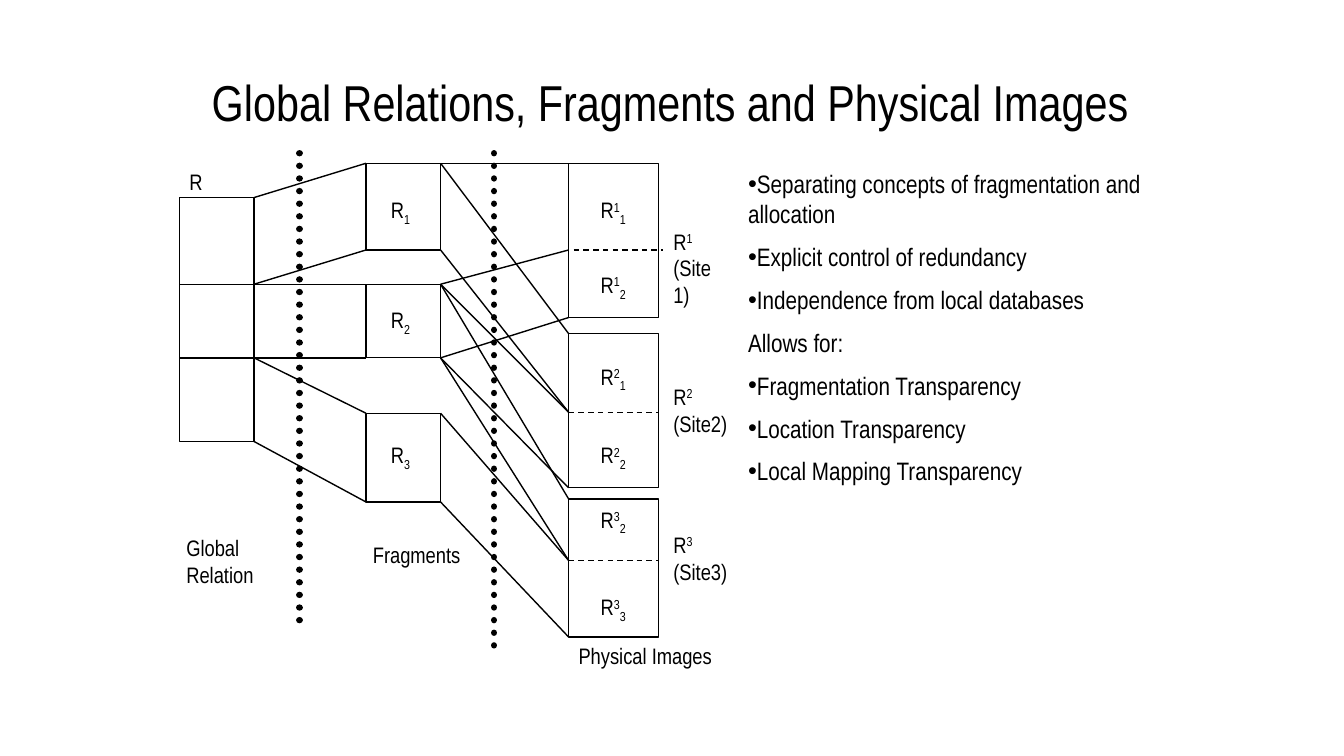
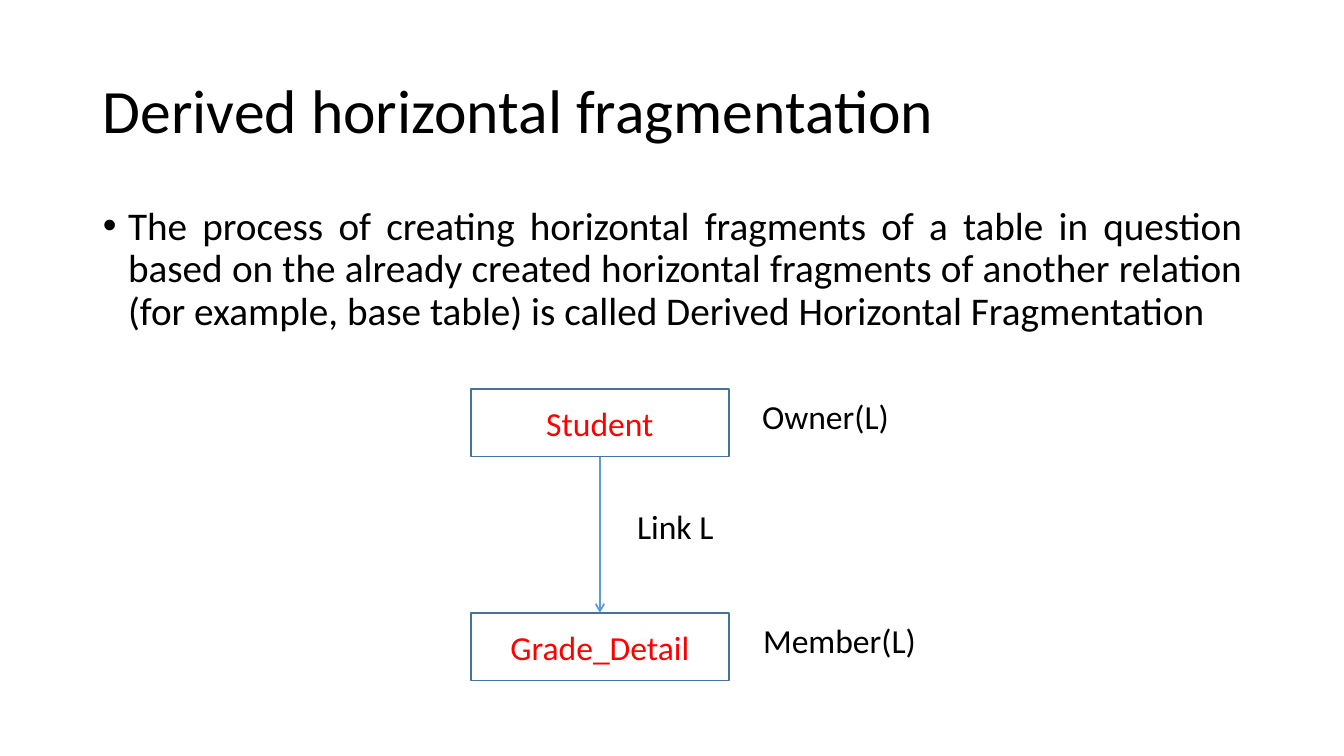
"""Build two slides on relation fragments and derived horizontal fragmentation."""
from dataclasses import dataclass

from lxml.etree import SubElement
from pptx import Presentation
from pptx.dml.color import RGBColor
from pptx.enum.dml import MSO_LINE as Dash
from pptx.enum.shapes import MSO_CONNECTOR as Connector, MSO_SHAPE as Shape
from pptx.enum.text import MSO_ANCHOR as Anchor, MSO_AUTO_SIZE as AutoSize, PP_ALIGN as Align
from pptx.oxml.ns import qn
from pptx.util import Inches, Pt


@dataclass(frozen=True)
class Theme:
    """Hold the colours, fonts and type sizes."""
    black: str = "000000"
    red: str = "FF0000"
    box_blue: str = "43739E"
    arrow_blue: str = "5B9BD5"
    narrow: str = "Arial Narrow"
    sans: str = "Calibri"
    label: int = 16
    points: int = 18
    node: int = 24
    body: int = 28
    narrow_title: int = 36
    title: int = 44


THEME = Theme()

POINTS = [
    ("Separating concepts of fragmentation and allocation", True),
    ("Explicit control of redundancy", True),
    ("Independence from local databases", True),
    ("Allows for:", False),
    ("Fragmentation Transparency", True),
    ("Location Transparency", True),
    ("Local Mapping Transparency", True),
]
DEFINITION = [(
    "The process of creating horizontal fragments of a table in question based on the "
    "already created horizontal fragments of another relation (for example, base table) "
    "is called Derived Horizontal Fragmentation", True)]

COLUMN_WIDTH, IMAGE_WIDTH = 0.74, 0.89
RELATION_LEFT, FRAGMENT_LEFT, IMAGE_LEFT = 1.78, 3.63, 5.64
RELATION_CUTS = [1.96, 2.82, 3.55, 4.38]
FRAGMENTS = [(1.62, 2.48, 1.9), (2.82, 3.55, 2.99), (4.1, 4.98, 4.33)]
SITES = [
    {"name": "(Site 1)", "cuts": (1.62, 2.48, 3.15), "holds": (1, 2),
     "label_tops": (1.9, 2.64), "name_top": 2.21, "shift": 0.05},
    {"name": "(Site2)", "cuts": (3.31, 4.09, 4.84), "holds": (1, 2),
     "label_tops": (3.55, 4.33), "name_top": 3.75, "shift": 0},
    {"name": "(Site3)", "cuts": (4.95, 5.56, 6.32), "holds": (2, 3),
     "label_tops": (4.97, 5.84), "name_top": 5.22, "shift": 0},
]
UNLINKED = (2.48, 2.48)
DIVIDERS = [(2.97, 6.19), (4.9, 6.5)]
CAPTIONS = [
    (["R"], (1.78, 1.62, 0.33, 0.37)),
    (["Global", "Relation"], (1.75, 5.25, 0.87, 0.64)),
    (["Fragments"], (3.6, 5.32, 1.07, 0.37)),
    (["Physical Images"], (5.64, 6.32, 1.53, 0.37)),
]

NODES = [("Student", 3.86), ("Grade_Detail", 6.08)]
NODE_LEFT, NODE_WIDTH, NODE_HEIGHT = 4.67, 2.56, 0.67
NODE_LABELS = [
    ("Link L", (6.22, 4.97, 0.97, 0.5)),
    ("Owner(L)", (7.46, 3.88, 1.47, 0.5)),
    ("Member(L)", (7.47, 6.1, 1.73, 0.5)),
]


def style(font, name, size, color=THEME.black):
    """Set a font's face, size and colour."""
    font.name, font.size = name, Pt(size)
    font.color.rgb = RGBColor.from_string(color)


def place(shape, box):
    """Move and size a shape in inches."""
    shape.left, shape.top, shape.width, shape.height = map(Inches, box)


def add_titled_slide(presentation, title, box, font, size):
    """Add a slide with a formatted title."""
    slide = presentation.slides.add_slide(presentation.slide_layouts[1])
    shape = slide.shapes.title
    place(shape, box)
    frame = shape.text_frame
    frame.auto_size, frame.vertical_anchor = AutoSize.NONE, Anchor.MIDDLE
    paragraph = frame.paragraphs[0]
    paragraph.alignment, paragraph.line_spacing = Align.LEFT, 0.9
    run = paragraph.add_run()
    run.text = title
    style(run.font, font, size)
    return slide


def fill_body(slide, box, items, font, size, align, spacing, gap, indent):
    """Write a list into the body placeholder."""
    body = slide.placeholders[1]
    place(body, box)
    frame = body.text_frame
    frame.word_wrap, frame.auto_size = True, AutoSize.NONE
    for index, (text, bulleted) in enumerate(items):
        paragraph = frame.add_paragraph() if index else frame.paragraphs[0]
        properties = paragraph._p.get_or_add_pPr()
        properties.set("marL", str(Inches(indent)))
        properties.set("indent", str(-Inches(indent)))
        if bulleted:
            SubElement(properties, qn("a:buFont"), typeface="Arial")
            SubElement(properties, qn("a:buChar"), char="•")
        else:
            SubElement(properties, qn("a:buNone"))
        paragraph.alignment, paragraph.line_spacing = align, spacing
        paragraph.space_before = Pt(gap if index else 0)
        run = paragraph.add_run()
        run.text = text
        style(run.font, font, size)


def add_label(slide, lines, box, font=THEME.narrow, size=THEME.label):
    """Add a text box whose lines are lists of (text, baseline percent) runs."""
    frame = slide.shapes.add_textbox(*map(Inches, box)).text_frame
    frame.word_wrap = False
    for index, runs in enumerate(lines):
        paragraph = frame.add_paragraph() if index else frame.paragraphs[0]
        for text, baseline in runs:
            run = paragraph.add_run()
            run.text = text
            style(run.font, font, size)
            if baseline:
                run._r.get_or_add_rPr().set("baseline", str(baseline * 1000))


def add_box(slide, box, color=THEME.black):
    """Add an outlined rectangle without fill."""
    shape = slide.shapes.add_shape(Shape.RECTANGLE, *map(Inches, box))
    shape.shadow.inherit = False
    shape.fill.background()
    shape.line.color.rgb, shape.line.width = RGBColor.from_string(color), Pt(1)
    return shape


def add_line(slide, start, end, color=THEME.black, width=1, dash=None):
    """Add a straight line without shadow."""
    line = slide.shapes.add_connector(Connector.STRAIGHT, *map(Inches, start + end))
    SubElement(line._element.spPr, qn("a:effectLst"))
    line.line.color.rgb, line.line.width = RGBColor.from_string(color), Pt(width)
    if dash:
        line.line.dash_style = dash
    return line


def outline_of(line):
    """Return the outline element of a line."""
    return line._element.spPr.find(qn("a:ln"))


def draw_relation(slide):
    """Draw the global relation and its links to the fragments."""
    right = RELATION_LEFT + COLUMN_WIDTH
    top, *inner, bottom = RELATION_CUTS
    add_box(slide, (RELATION_LEFT, top, COLUMN_WIDTH, bottom - top))
    for cut in inner:
        add_line(slide, (RELATION_LEFT, cut), (right, cut))
    for number, (first, last, label_top) in enumerate(FRAGMENTS, 1):
        add_box(slide, (FRAGMENT_LEFT, first, COLUMN_WIDTH, last - first))
        add_label(slide, [[("R", 0), (str(number), -25)]], (3.78, label_top, 0.4, 0.37))
        for cut, edge in zip(RELATION_CUTS[number - 1:], (first, last)):
            add_line(slide, (right, cut), (FRAGMENT_LEFT, edge))


def draw_sites(slide):
    """Draw the physical images and their links from the fragments."""
    fragment_right = FRAGMENT_LEFT + COLUMN_WIDTH
    for number, site in enumerate(SITES, 1):
        top, middle, bottom = site["cuts"]
        add_box(slide, (IMAGE_LEFT, top, IMAGE_WIDTH, bottom - top))
        left = IMAGE_LEFT + site["shift"]
        add_line(slide, (left, middle), (left + IMAGE_WIDTH, middle), dash=Dash.DASH)
        name = [("R", 0), (str(number), 30)]
        add_label(slide, [name, [(site["name"], 0)]], (6.58, site["name_top"], 0.76, 0.64))
        parts = ((top, middle), (middle, bottom))
        for held, label_top, part in zip(site["holds"], site["label_tops"], parts):
            add_label(slide, [name + [(str(held), -25)]], (5.86, label_top, 0.47, 0.37))
            for link in zip(FRAGMENTS[held - 1][:2], part):
                if link != UNLINKED:
                    add_line(slide, (fragment_right, link[0]), (IMAGE_LEFT, link[1]))


def build_images_slide(presentation):
    """Build the slide on relations, fragments and images."""
    slide = add_titled_slide(
        presentation, "Global Relations, Fragments and Physical Images",
        (2, 0.67, 9.83, 0.75), THEME.narrow, THEME.narrow_title)
    fill_body(slide, (7.32, 1.62, 4.52, 3.43), POINTS, THEME.narrow, THEME.points,
              Align.LEFT, 1.0, 9, 0)
    draw_relation(slide)
    draw_sites(slide)
    for lines, box in CAPTIONS:
        add_label(slide, [[(line, 0)] for line in lines], box)
    for x, bottom in DIVIDERS:
        divider = add_line(slide, (x, 1.52), (x, bottom), width=4.5, dash=Dash.ROUND_DOT)
        outline_of(divider).set("cap", "rnd")


def build_derived_slide(presentation):
    """Build the slide on derived horizontal fragmentation."""
    slide = add_titled_slide(presentation, "Derived horizontal fragmentation",
                             (0.92, 0.4, 11.5, 1.45), THEME.sans, THEME.title)
    fill_body(slide, (0.92, 2, 11.5, 4.76), DEFINITION, THEME.sans, THEME.body,
              Align.JUSTIFY, 0.9, 10, 0.25)
    nodes = []
    for text, top in NODES:
        node = add_box(slide, (NODE_LEFT, top, NODE_WIDTH, NODE_HEIGHT), THEME.box_blue)
        node.text_frame.vertical_anchor = Anchor.MIDDLE
        paragraph = node.text_frame.paragraphs[0]
        paragraph.alignment = Align.CENTER
        run = paragraph.add_run()
        run.text = text
        style(run.font, THEME.sans, THEME.node, THEME.red)
        nodes.append(node)
    center = NODE_LEFT + NODE_WIDTH / 2
    arrow = add_line(slide, (center, NODES[0][1] + NODE_HEIGHT), (center, NODES[1][1]),
                     THEME.arrow_blue, 1.25)
    arrow.begin_connect(nodes[0], 2)
    arrow.end_connect(nodes[1], 0)
    SubElement(outline_of(arrow), qn("a:tailEnd"), type="arrow")
    for text, box in NODE_LABELS:
        add_label(slide, [[(text, 0)]], box, THEME.sans, THEME.node)


def main():
    """Build and save the presentation."""
    presentation = Presentation()
    presentation.slide_width, presentation.slide_height = Inches(13.33), Inches(7.5)
    build_images_slide(presentation)
    build_derived_slide(presentation)
    presentation.save("out.pptx")


if __name__ == "__main__":
    main()
